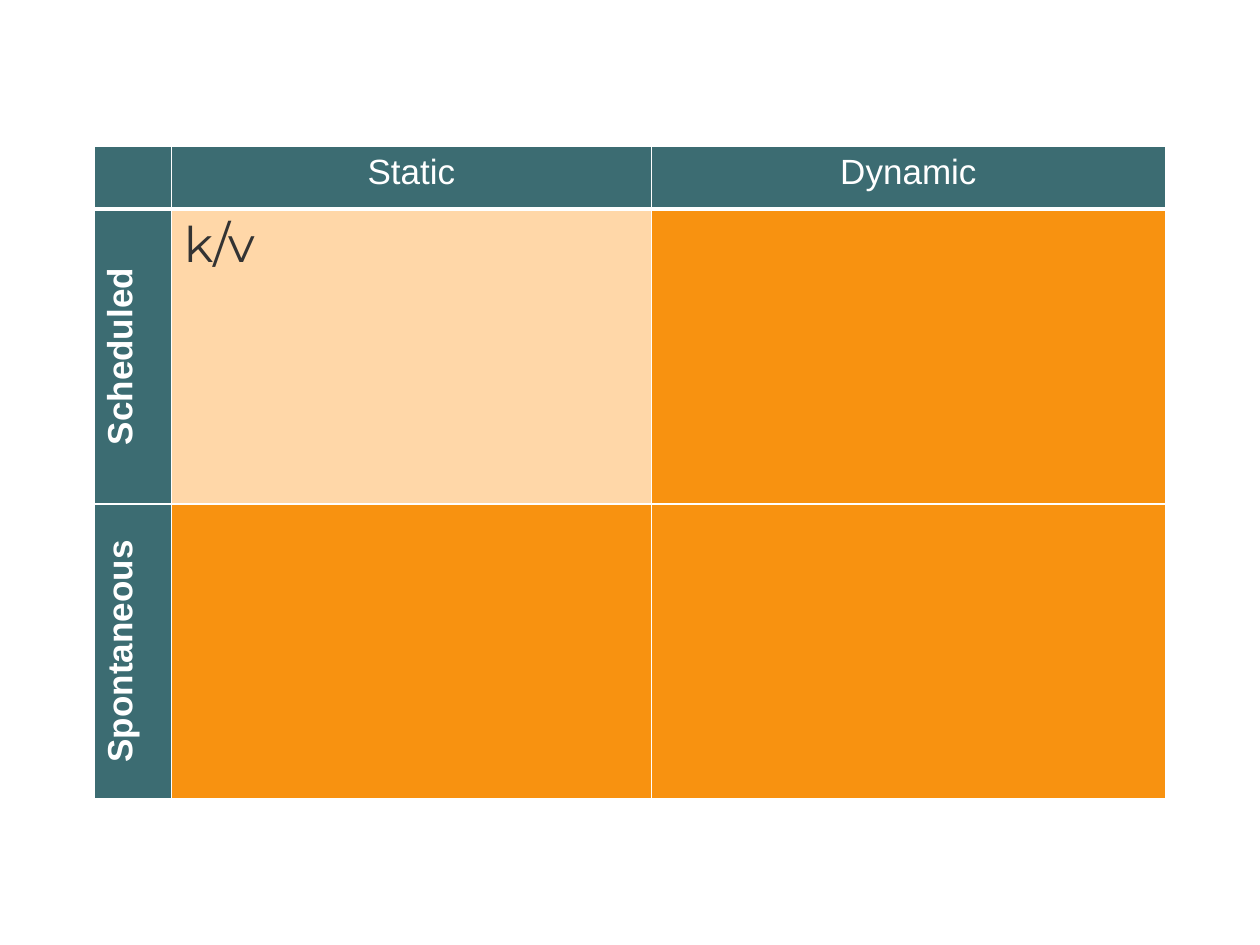
from lxml import etree
from pptx import Presentation
from pptx.dml.color import RGBColor
from pptx.enum.text import PP_ALIGN
from pptx.oxml.ns import qn
from pptx.util import Pt

CENTER, LEFT = PP_ALIGN.CENTER, PP_ALIGN.LEFT
WHITE = RGBColor(0xFF, 0xFF, 0xFF)
TEAL = RGBColor(0x3C, 0x6C, 0x72)
PEACH = RGBColor(0xFF, 0xD7, 0xA8)
ORANGE = RGBColor(0xF8, 0x92, 0x10)
DARK = RGBColor(0x33, 0x33, 0x33)

COLUMN_WIDTHS = [43.92, 274.32, 293.76]
ROW_HEIGHTS = [36, 168.48, 168.48]
COLUMN_LABELS = ["", "Static", "Dynamic"]
ROW_LABELS = ["Scheduled", "Spontaneous"]
QUADRANTS = [[("k/v", PEACH), ("", ORANGE)],
             [("", ORANGE), ("", ORANGE)]]


class MatrixSlide:
    label_font, body_font = "Arial", "Montserrat"
    label_size, body_size = Pt(20), Pt(28)

    def __init__(self, presentation):
        self.slide = presentation.slides.add_slide(presentation.slide_layouts[6])

    def table(self, left, top, widths, heights):
        frame = self.slide.shapes.add_table(
            len(heights), len(widths), Pt(left), Pt(top),
            Pt(sum(widths)), Pt(sum(heights)))
        table = frame.table
        table.first_row = table.horz_banding = False
        for column, width in zip(table.columns, widths):
            column.width = Pt(width)
        for row, height in zip(table.rows, heights):
            row.height = Pt(height)
        return table

    def borders(self, cell, bottom):
        properties = cell._tc.get_or_add_tcPr()
        for side, width in (("L", 1), ("R", 1), ("T", 1), ("B", bottom)):
            line = etree.SubElement(properties, qn(f"a:ln{side}"), w=str(Pt(width)))
            fill = etree.SubElement(line, qn("a:solidFill"))
            etree.SubElement(fill, qn("a:srgbClr"), val=str(WHITE))

    def cell(self, cell, text, color, size, font, ink, align, bold=False, bottom=1):
        self.borders(cell, bottom)
        cell.fill.solid()
        cell.fill.fore_color.rgb = color
        if not text:
            return
        paragraph = cell.text_frame.paragraphs[0]
        paragraph.alignment = align
        run = paragraph.add_run()
        run.text = text
        run.font.name = font
        run.font.size = size
        run.font.bold = bold
        run.font.color.rgb = ink

    def column_label(self, cell, text):
        self.cell(cell, text, TEAL, self.label_size, self.label_font,
                  WHITE, CENTER, bottom=3)

    def row_label(self, cell, text):
        """Bold label that reads from bottom to top."""
        self.cell(cell, text, TEAL, self.label_size, self.label_font,
                  WHITE, CENTER, bold=True)
        cell._tc.get_or_add_tcPr().set("vert", "vert270")

    def quadrant(self, cell, text, color):
        self.cell(cell, text, color, self.body_size, self.body_font, DARK, LEFT)


def main():
    presentation = Presentation()
    presentation.slide_width, presentation.slide_height = Pt(720), Pt(540)
    matrix = MatrixSlide(presentation)
    table = matrix.table(54, 83.52, COLUMN_WIDTHS, ROW_HEIGHTS)
    for column, label in enumerate(COLUMN_LABELS):
        matrix.column_label(table.cell(0, column), label)
    for row, (label, quadrants) in enumerate(zip(ROW_LABELS, QUADRANTS), 1):
        matrix.row_label(table.cell(row, 0), label)
        for column, (text, color) in enumerate(quadrants, 1):
            matrix.quadrant(table.cell(row, column), text, color)
    presentation.save("out.pptx")


if __name__ == "__main__":
    main()
